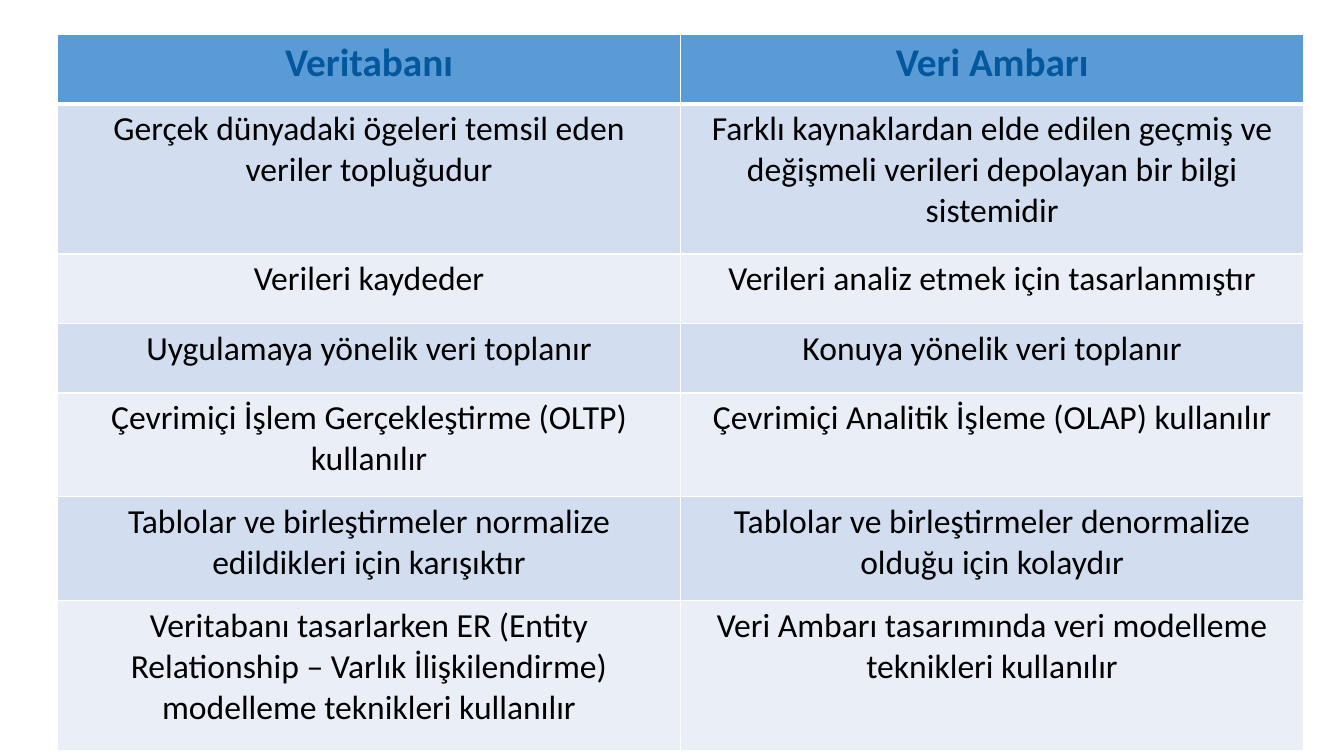
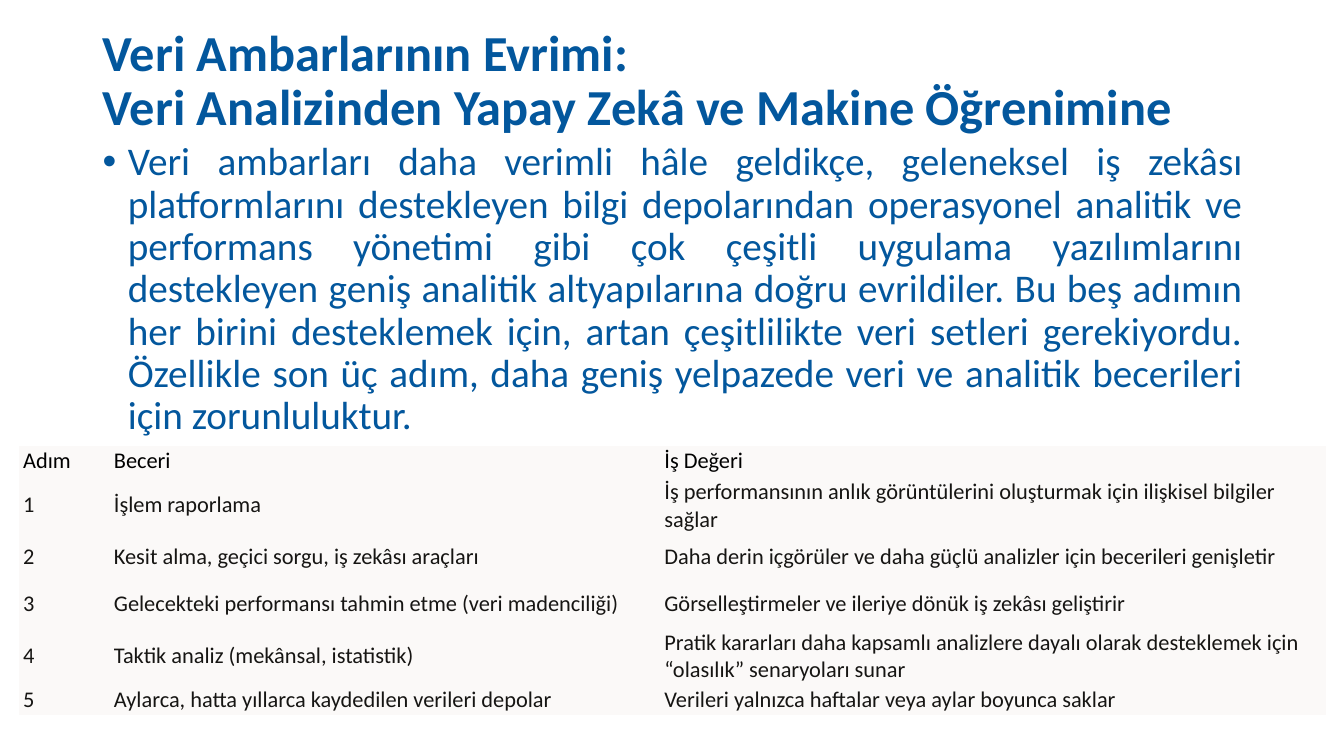
from lxml.etree import SubElement
from pptx import Presentation
from pptx.dml.color import RGBColor
from pptx.enum.text import MSO_ANCHOR, PP_ALIGN
from pptx.oxml.ns import qn
from pptx.util import Pt

PX = 9144
PLAIN = "{2D5ABB26-0587-4C30-8999-92F81FD0307C}"
INK = {"blue": "03579D", "head": "5B9BD5", "band": "D2DEEF", "pale": "EAEFF7",
       "sand": "FBF9F8", "black": "000000", "dark": "161513", "white": "FFFFFF"}
TYPE = {
    "title": {"size": Pt(36), "bold": True, "color": "blue"},
    "body": {"size": Pt(28), "bold": False, "color": "blue"},
    "head": {"size": Pt(28), "bold": True, "color": "blue"},
    "cell": {"size": Pt(24), "bold": False, "color": "black"},
    "top": {"size": Pt(16), "bold": False, "color": "black"},
    "step": {"size": Pt(16), "bold": False, "color": "dark"},
}
TIGHT = {"margin_left": 4 * PX, "margin_right": 4 * PX, "margin_top": 2 * PX,
         "margin_bottom": 2 * PX, "vertical_anchor": MSO_ANCHOR.MIDDLE}

PAIRS = [
    ("Veritabanı", "Veri Ambarı"),
    ("Gerçek dünyadaki ögeleri temsil eden veriler topluğudur",
     "Farklı kaynaklardan elde edilen geçmiş ve değişmeli verileri depolayan bir bilgi sistemidir"),
    ("Verileri kaydeder", "Verileri analiz etmek için tasarlanmıştır"),
    ("Uygulamaya yönelik veri toplanır", "Konuya yönelik veri toplanır"),
    ("Çevrimiçi İşlem Gerçekleştirme (OLTP) kullanılır",
     "Çevrimiçi Analitik İşleme (OLAP) kullanılır"),
    ("Tablolar ve birleştirmeler normalize edildikleri için karışıktır",
     "Tablolar ve birleştirmeler denormalize olduğu için kolaydır"),
    ("Veritabanı tasarlarken ER (Entity Relationship – Varlık İlişkilendirme) modelleme teknikleri kullanılır",
     "Veri Ambarı tasarımında veri modelleme teknikleri kullanılır"),
]
STEPS = [
    ("Adım", "Beceri", "İş Değeri"),
    ("1", "İşlem raporlama",
     "İş performansının anlık görüntülerini oluşturmak için ilişkisel bilgiler sağlar"),
    ("2", "Kesit alma, geçici sorgu, iş zekâsı araçları",
     "Daha derin içgörüler ve daha güçlü analizler için becerileri genişletir"),
    ("3", "Gelecekteki performansı tahmin etme (veri madenciliği)",
     "Görselleştirmeler ve ileriye dönük iş zekâsı geliştirir"),
    ("4", "Taktik analiz (mekânsal, istatistik)",
     "Pratik kararları daha kapsamlı analizlere dayalı olarak desteklemek için “olasılık” senaryoları sunar"),
    ("5", "Aylarca, hatta yıllarca kaydedilen verileri depolar",
     "Verileri yalnızca haftalar veya aylar boyunca saklar"),
]
TITLE = "Veri Ambarlarının Evrimi:\nVeri Analizinden Yapay Zekâ ve Makine Öğrenimine"
BODY = (
    "Veri ambarları daha verimli hâle geldikçe, geleneksel iş zekâsı platformlarını "
    "destekleyen bilgi depolarından operasyonel analitik ve performans yönetimi gibi çok "
    "çeşitli uygulama yazılımlarını destekleyen geniş analitik altyapılarına doğru "
    "evrildiler. Bu beş adımın her birini desteklemek için, artan çeşitlilikte veri setleri "
    "gerekiyordu. Özellikle son üç adım, daha geniş yelpazede veri ve analitik becerileri "
    "için zorunluluktur."
)


class Deck:
    """Holds the shared style and the slide being built."""

    def __init__(self):
        self.file = Presentation()
        self.file.slide_width, self.file.slide_height = 1333 * PX, 750 * PX
        self.slide = None

    def page(self):
        """Start a blank slide."""
        self.slide = self.file.slides.add_slide(self.file.slide_layouts[6])

    def apply(self, item, values):
        """Set each named value on an object."""
        for name, value in values.items():
            setattr(item, name, value)

    def words(self, para, text, style, **look):
        """Fill a paragraph in one of the shared text styles."""
        para.text = text
        self.apply(para, look)
        for run in para.runs:
            for name, value in TYPE[style].items():
                if name == "color":
                    run.font.color.rgb = RGBColor.from_string(INK[value])
                else:
                    setattr(run.font, name, value)
            run.font.name = "Calibri"

    def text(self, box, text, style, anchor=MSO_ANCHOR.TOP, bullet=False, **look):
        """Add a wrapped text box."""
        frame = self.slide.shapes.add_textbox(*(n * PX for n in box)).text_frame
        self.apply(frame, {"word_wrap": True, "vertical_anchor": anchor})
        para = frame.paragraphs[0]
        if bullet:
            props = para._p.get_or_add_pPr()
            props.set("marL", str(25 * PX))
            props.set("indent", str(-25 * PX))
            SubElement(props, qn("a:buFont"), typeface="Arial")
            SubElement(props, qn("a:buChar"), char="•")
        self.words(para, text, style, line_spacing=0.9, **look)

    def edge(self, cell, widths):
        """Draw white cell borders, widths in points by side."""
        props = cell._tc.get_or_add_tcPr()
        for side, width in widths.items():
            line = SubElement(props, qn("a:ln" + side), w=str(Pt(width)))
            fill = SubElement(line, qn("a:solidFill"))
            SubElement(fill, qn("a:srgbClr"), val=INK["white"])

    def table(self, spot, cols, rows, data, fills, styles, lined=False, inset=None, **look):
        """Add a table with a head row and fills that alternate below it."""
        size = sum(cols), sum(rows)
        grid = self.slide.shapes.add_table(
            len(rows), len(cols), *(n * PX for n in (*spot, *size))).table
        self.apply(grid, {"first_row": False, "horz_banding": False})
        grid._tbl.tblPr.find(qn("a:tableStyleId")).text = PLAIN
        for col, width in zip(grid.columns, cols):
            col.width = width * PX
        for r, (row, height) in enumerate(zip(grid.rows, rows)):
            row.height = height * PX
            shade = fills[0] if r == 0 else fills[1 + (r - 1) % 2]
            for cell, text in zip(row.cells, data[r]):
                if lined:
                    self.edge(cell, {"L": 1, "R": 1, "T": 3 if r == 1 else 1,
                                     "B": 3 if r == 0 else 1})
                cell.fill.solid()
                cell.fill.fore_color.rgb = RGBColor.from_string(INK[shade])
                self.apply(cell, inset or {})
                self.words(cell.text_frame.paragraphs[0], text, styles[min(r, 1)], **look)


def main():
    """Build both slides and save them."""
    deck = Deck()
    deck.page()
    deck.table((57, 34), [618] * 2, [69, 149, 69, 69, 103, 103, 149], PAIRS,
               ("head", "band", "pale"), ("head", "cell"), lined=True,
               alignment=PP_ALIGN.CENTER)
    deck.page()
    deck.text((92, 40, 1150, 83), TITLE, "title", MSO_ANCHOR.MIDDLE)
    deck.text((92, 136, 1150, 540), BODY, "body", bullet=True, alignment=PP_ALIGN.JUSTIFY)
    deck.table((19, 442), [90, 546, 660], [25, *[46] * 4, 25], STEPS,
               ["sand"] * 3, ("top", "step"), inset=TIGHT)
    deck.file.save("out.pptx")


if __name__ == "__main__":
    main()
